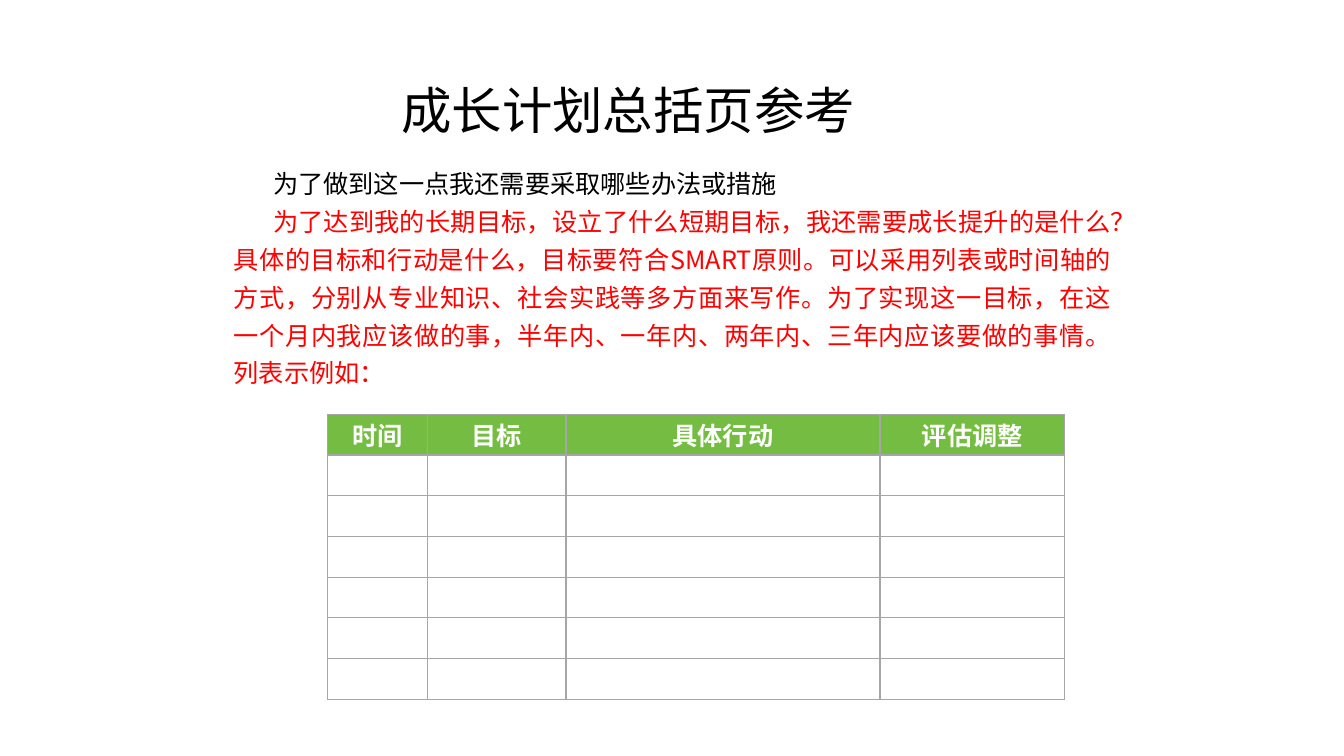
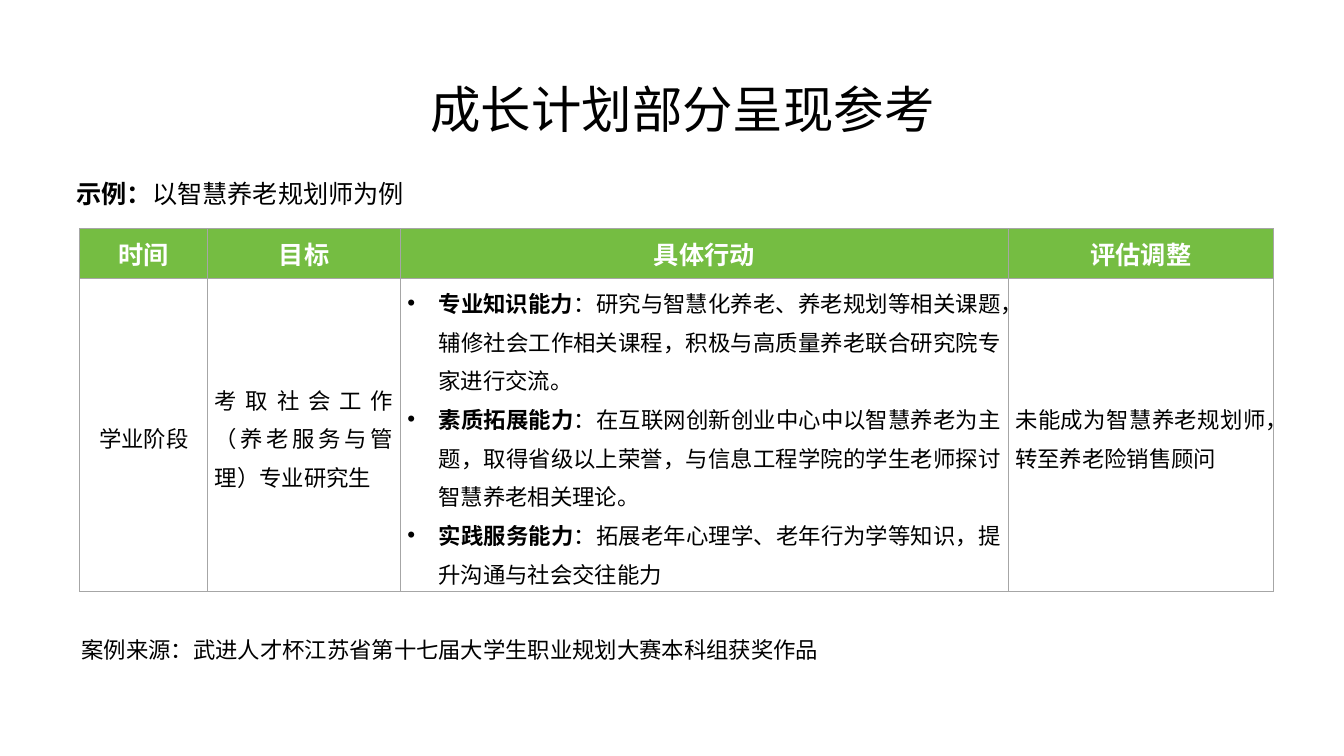
from lxml import etree
from pptx import Presentation
from pptx.dml.color import RGBColor
from pptx.enum.lang import MSO_LANGUAGE_ID
from pptx.enum.text import MSO_ANCHOR, MSO_AUTO_SIZE, PP_ALIGN
from pptx.oxml.ns import qn
from pptx.util import Emu, Inches, Pt

CHINESE = MSO_LANGUAGE_ID.SIMPLIFIED_CHINESE
LEFT, CENTER, JUSTIFY = PP_ALIGN.LEFT, PP_ALIGN.CENTER, PP_ALIGN.JUSTIFY
TOP, MIDDLE = MSO_ANCHOR.TOP, MSO_ANCHOR.MIDDLE
NO_AUTOFIT = MSO_AUTO_SIZE.NONE

BLACK = RGBColor(0x00, 0x00, 0x00)
WHITE = RGBColor(0xFF, 0xFF, 0xFF)
RED = RGBColor(0xFF, 0x00, 0x00)
GREEN = RGBColor(0x75, 0xBD, 0x42)
GRAY = "A6A6A6"

TITLE_FONT = TABLE_FONT = "Calibri"
NOTE_FONT = "Arial"
CHINESE_FONT = "Noto Sans CJK SC"

SLIDE_WIDTH, SLIDE_HEIGHT = Inches(13.33), Inches(7.5)
TITLE_ONLY = 5
HEADINGS = ["时间", "目标", "具体行动", "评估调整"]
HANGING = Inches(0.31)

ACTIONS = [
    ("专业知识能力", "：研究与智慧化养老、养老规划等相关课题，辅修社会工作相关课程，"
                     "积极与高质量养老联合研究院专家进行交流。"),
    ("素质拓展能力", "：在互联网创新创业中心中以智慧养老为主题，取得省级以上荣誉，"
                     "与信息工程学院的学生老师探讨智慧养老相关理论。"),
    ("实践服务能力", "：拓展老年心理学、老年行为学等知识，提升沟通与社会交往能力"),
]


def box_of(left, top, width, height):
    """Turn percentages of the slide's size into a box of lengths."""
    return (Emu(int(SLIDE_WIDTH * left / 100)), Emu(int(SLIDE_HEIGHT * top / 100)),
            Emu(int(SLIDE_WIDTH * width / 100)), Emu(int(SLIDE_HEIGHT * height / 100)))


def add_run(para, text, size, font_name, color=BLACK, bold=False):
    span = para.add_run()
    span.text = text
    font = span.font
    font.size, font.name, font.bold = Pt(size), font_name, bold
    font.color.rgb = color
    font.language_id = CHINESE
    east_asian = etree.Element(qn("a:ea"), typeface=CHINESE_FONT)
    font._element.find(qn("a:latin")).addnext(east_asian)


def next_para(frame, align=LEFT, spacing=None):
    """Return the frame's unused first paragraph, or a new one."""
    first = frame.paragraphs[0]
    para = frame.add_paragraph() if first.runs else first
    para.alignment = align
    if spacing:
        para.line_spacing = spacing
    return para


def add_bullet(para):
    properties = para._p.get_or_add_pPr()
    properties.set("marL", str(HANGING))
    properties.set("indent", str(-HANGING))
    etree.SubElement(properties, qn("a:buFont"), typeface="Arial")
    etree.SubElement(properties, qn("a:buChar"), char="•")


def add_page(deck, title, box):
    page = deck.slides.add_slide(deck.slide_layouts[TITLE_ONLY])
    holder = page.shapes.title
    holder.left, holder.top, holder.width, holder.height = box
    frame = holder.text_frame
    frame.auto_size = NO_AUTOFIT
    frame.vertical_anchor = TOP
    add_run(next_para(frame), title, 36, TITLE_FONT)
    return page


def add_frame(page, box):
    frame = page.shapes.add_textbox(*box).text_frame
    frame.word_wrap = True
    return frame


def style_cell(cell, fill=None):
    cell.vertical_anchor = MIDDLE
    cell.margin_left = cell.margin_right = Inches(0.07)
    cell.margin_top = cell.margin_bottom = 0
    properties = cell._tc.get_or_add_tcPr()
    for side in ("lnL", "lnR", "lnT", "lnB"):
        line = etree.SubElement(properties, qn("a:" + side), w=str(Pt(1)))
        solid = etree.SubElement(line, qn("a:solidFill"))
        etree.SubElement(solid, qn("a:srgbClr"), val=GRAY)
    if fill is None:
        cell.fill.background()
    else:
        cell.fill.solid()
        cell.fill.fore_color.rgb = fill


def add_plan_table(page, box, column_shares, row_shares):
    """Add a bordered table with the green heading row."""
    width, height = box[2:]
    table = page.shapes.add_table(len(row_shares), len(column_shares), *box).table
    table.first_row = table.horz_banding = False
    for column, share in zip(table.columns, column_shares):
        column.width = Emu(int(width * share / sum(column_shares)))
    for row, share in zip(table.rows, row_shares):
        row.height = Emu(int(height * share / sum(row_shares)))
    for index, row in enumerate(table.rows):
        for cell in row.cells:
            style_cell(cell, GREEN if index == 0 else None)
    for cell, heading in zip(table.rows[0].cells, HEADINGS):
        add_run(next_para(cell.text_frame, CENTER), heading, 18, TABLE_FONT, WHITE, True)
    return table


def add_summary_page(deck):
    page = add_page(deck, "成长计划总括页参考", box_of(29.11, 9.73, 50.11, 9.47))
    frame = add_frame(page, box_of(16.65, 20.67, 66.77, 31.2))
    guidance = [
        ("为了做到这一点我还需要采取哪些办法或措施", BLACK),
        ("为了达到我的长期目标，设立了什么短期目标，我还需要成长提升的是什么？"
         "具体的目标和行动是什么，目标要符合SMART原则。可以采用列表或时间轴的方式，"
         "分别从专业知识、社会实践等多方面来写作。为了实现这一目标，"
         "在这一个月内我应该做的事，半年内、一年内、两年内、三年内应该要做的事情。"
         "列表示例如：", RED),
    ]
    for text, color in guidance:
        para = next_para(frame, JUSTIFY, 1.25)
        para._p.get_or_add_pPr().set("indent", str(Inches(0.39)))
        add_run(para, text, 18, CHINESE_FONT, color)
    add_plan_table(page, box_of(24.38, 54.8, 54.84, 37.73),
                   [0.99, 1.37, 3.11, 1.83], [1] * 7)


def add_example_page(deck):
    page = add_page(deck, "成长计划部分呈现参考", box_of(31.28, 9.6, 50.04, 9.47))
    table = add_plan_table(page, box_of(5.93, 30.27, 88.82, 48),
                           [1.27, 1.91, 6.03, 2.63], [0.49, 3.11])
    stage, goal, action, review = [cell.text_frame for cell in table.rows[1].cells]
    for frame, text, align in [
        (stage, "学业阶段", CENTER),
        (goal, "考取社会工作（养老服务与管理）专业研究生", JUSTIFY),
        (review, "未能成为智慧养老规划师，转至养老险销售顾问", JUSTIFY),
    ]:
        add_run(next_para(frame, align, 1.2), text, 16, TABLE_FONT)
    for ability, detail in ACTIONS:
        para = next_para(action, JUSTIFY, 1.2)
        add_bullet(para)
        add_run(para, ability, 16, TABLE_FONT, bold=True)
        add_run(para, detail, 16, TABLE_FONT)

    example = next_para(add_frame(page, box_of(4.95, 22.93, 35.93, 5.33)))
    add_run(example, "示例：", 18, NOTE_FONT, bold=True)
    add_run(example, "以智慧养老规划师为例", 18, CHINESE_FONT)
    credit = next_para(add_frame(page, box_of(5.33, 83.47, 58.36, 4.93)))
    add_run(credit, "案例来源：武进人才杯江苏省第十七届大学生职业规划大赛本科组获奖作品",
            16, NOTE_FONT)


def main():
    deck = Presentation()
    deck.slide_width, deck.slide_height = SLIDE_WIDTH, SLIDE_HEIGHT
    add_summary_page(deck)
    add_example_page(deck)
    deck.save("out.pptx")


if __name__ == "__main__":
    main()
